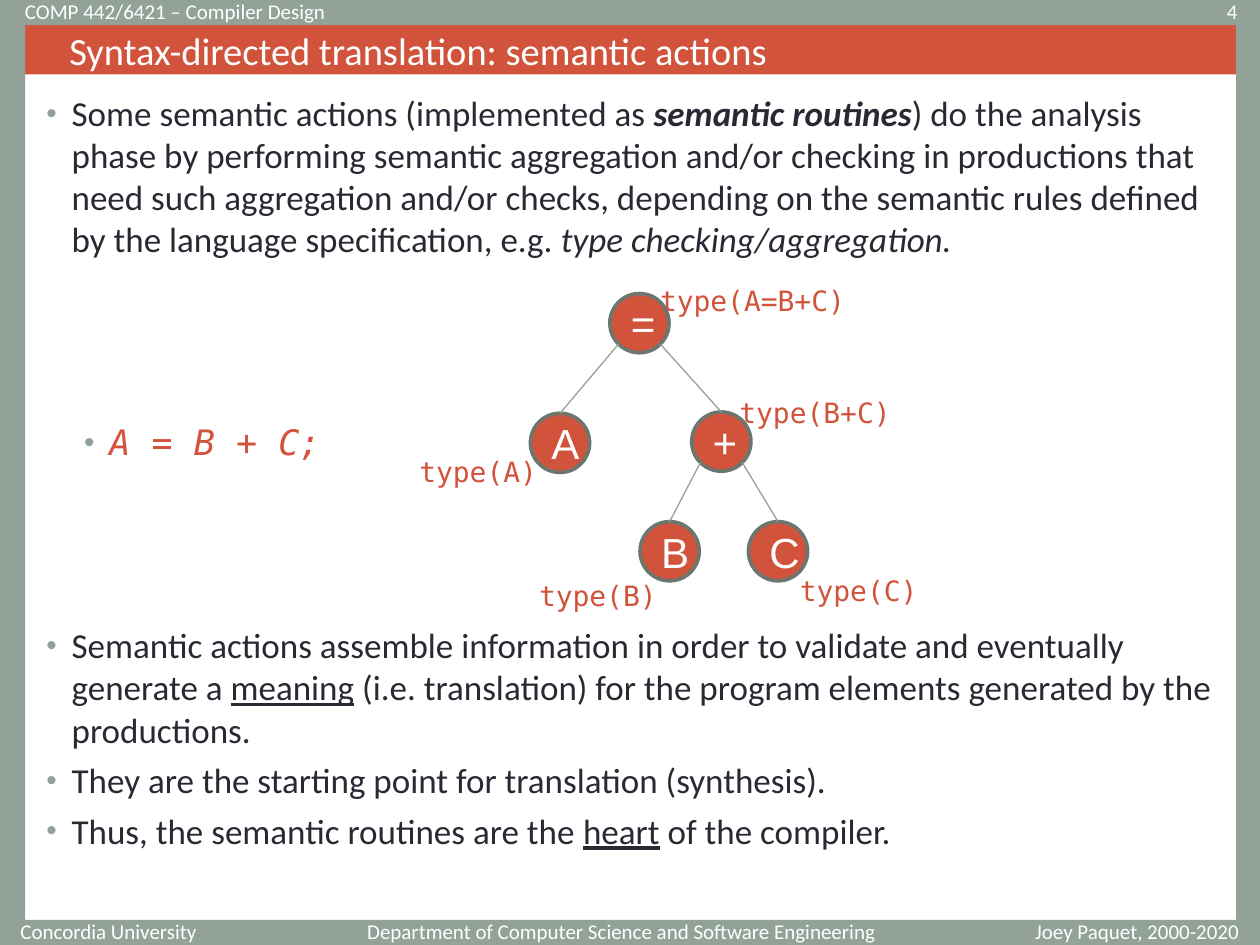
import math

from lxml import etree
from pptx import Presentation
from pptx import util as u
from pptx.dml.color import RGBColor
from pptx.enum import shapes, text
from pptx.oxml import ns

SAGE, BRICK, INK, WHITE, RIM = "93A299", "D2533C", "292934", "FFFFFF", "6B766F"
MONO = "DejaVu Sans Mono"
LEFT, CENTER, RIGHT = text.PP_ALIGN.LEFT, text.PP_ALIGN.CENTER, text.PP_ALIGN.RIGHT
NODE_SIZE = 0.47


def color(hex_string):
    return RGBColor.from_string(hex_string)


def inches(box):
    return [u.Inches(length) for length in box]


def add_xml(parent, tag, **attributes):
    return etree.SubElement(parent, ns.qn(tag), attributes)


def style_run(run, size, font, hex_string, marks=""):
    run.font.size = u.Pt(size)
    run.font.name = font
    run.font.color.rgb = color(hex_string)
    run.font.bold = "b" in marks
    run.font.italic = "i" in marks
    run.font.underline = "u" in marks


def write_line(shape, words, size, font, hex_string, align):
    shape.text_frame.text = words
    paragraph = shape.text_frame.paragraphs[0]
    paragraph.alignment = align
    style_run(paragraph.runs[0], size, font, hex_string)
    return paragraph


def add_filled(slide, kind, box, fill):
    shape = slide.shapes.add_shape(kind, *inches(box))
    shape.shadow.inherit = False
    shape.fill.solid()
    shape.fill.fore_color.rgb = color(fill)
    shape.line.fill.background()
    return shape


def add_frame(slide, width, height, border):
    bars = [
        (0, 0, width, border),
        (0, height - border, width, border),
        (0, 0, border, height),
        (width - 0.19, 0, 0.19, height),
    ]
    for bar in bars:
        add_filled(slide, shapes.MSO_SHAPE.RECTANGLE, bar, SAGE)


def add_margin_text(slide, box, words, align):
    textbox = slide.shapes.add_textbox(*inches(box))
    textbox.text_frame.word_wrap = True
    textbox.text_frame.vertical_anchor = text.MSO_ANCHOR.MIDDLE
    write_line(textbox, words, 12, "Calibri", WHITE, align)


def add_title(slide, box, words):
    title = slide.shapes.title
    title.left, title.top, title.width, title.height = inches(box)
    title.fill.solid()
    title.fill.fore_color.rgb = color(BRICK)
    title.text_frame.auto_size = text.MSO_AUTO_SIZE.NONE
    title.text_frame.vertical_anchor = text.MSO_ANCHOR.MIDDLE
    paragraph = write_line(title, words, 22, "Calibri", WHITE, LEFT)
    paragraph._p.get_or_add_pPr().set("marL", str(u.Inches(0.25)))


def format_bullet(paragraph, level, space_before):
    paragraph.level = level
    paragraph.space_before = u.Pt(space_before)
    properties = paragraph._p.get_or_add_pPr()
    properties.set("marL", str(u.Inches(0.2 + 0.3 * level)))
    properties.set("indent", str(u.Inches(-0.2)))
    bullet_color = add_xml(properties, "a:buClr")
    add_xml(bullet_color, "a:srgbClr", val=SAGE)
    add_xml(properties, "a:buSzPct", val="85000")
    add_xml(properties, "a:buFont", typeface="Arial")
    add_xml(properties, "a:buChar", char="•")


def add_body(slide, box, bullets):
    frame = slide.shapes.add_textbox(*inches(box)).text_frame
    frame.word_wrap = True
    for index, (level, space_before, font, hex_string, parts) in enumerate(bullets):
        paragraph = frame.add_paragraph() if index else frame.paragraphs[0]
        format_bullet(paragraph, level, space_before)
        for words, marks in parts:
            run = paragraph.add_run()
            run.text = words
            style_run(run, 20, font, hex_string, marks)


def add_node(slide, left, top, symbol):
    box = (left, top, NODE_SIZE, NODE_SIZE)
    node = add_filled(slide, shapes.MSO_SHAPE.OVAL, box, BRICK)
    node.line.color.rgb = color(RIM)
    node.line.width = u.Pt(2.07)
    node.text_frame.vertical_anchor = text.MSO_ANCHOR.MIDDLE
    write_line(node, symbol, 24, "Arial", WHITE, CENTER)
    return node


def add_branch(slide, parent, child):
    reach = parent.width / 2 * math.sqrt(0.5)
    side = 1 if child.left > parent.left else -1
    start_x = int(parent.left + parent.width / 2 + side * reach)
    start_y = int(parent.top + parent.height / 2 + reach)
    branch = slide.shapes.add_connector(
        shapes.MSO_CONNECTOR.STRAIGHT, start_x, start_y, child.left, child.top
    )
    branch.end_connect(child, 0)
    branch.line.color.rgb = color(SAGE)
    branch.line.width = u.Pt(0.75)
    add_xml(branch._element.spPr, "a:effectLst")


def add_type_label(slide, box, words):
    label = slide.shapes.add_textbox(*inches(box))
    label.text_frame.word_wrap = False
    label.text_frame.auto_size = text.MSO_AUTO_SIZE.SHAPE_TO_FIT_TEXT
    write_line(label, words, 16, MONO, BRICK, LEFT)


def add_tree(slide, left, top):
    positions = {
        "=": (1.61, 0.13), "A": (0.98, 1.08), "+": (2.26, 1.07),
        "B": (1.85, 1.94), "C": (2.71, 1.94),
    }
    nodes = {
        symbol: add_node(slide, left + x, top + y, symbol)
        for symbol, (x, y) in positions.items()
    }
    for parent, child in ("=A", "=+", "+B", "+C"):
        add_branch(slide, nodes[parent], nodes[child])
    labels = [
        ("A=B+C", 1.91, 0, 1.7), ("A", 0, 1.36, 1.17), ("B+C", 2.54, 0.89, 1.43),
        ("B", 0.95, 2.34, 1.17), ("C", 3.02, 2.3, 1.17),
    ]
    for expression, x, y, width in labels:
        add_type_label(slide, (left + x, top + y, width, 0.37), f"type({expression})")


def main():
    presentation = Presentation()
    presentation.slide_width = u.Inches(10)
    presentation.slide_height = u.Inches(7.5)
    slide = presentation.slides.add_slide(presentation.slide_layouts[5])

    add_frame(slide, 10, 7.5, 0.2)
    add_title(slide, (0.2, 0.2, 9.62, 0.39), "Syntax-directed translation: semantic actions")
    margin_texts = [
        (0.1, 0.03, 5.6, "COMP 442/6421 – Compiler Design", LEFT),
        (8.75, 0.03, 1.17, "4", RIGHT),
        (0.03, 7.33, 1.63, "Concordia University", RIGHT),
        (2.8, 7.33, 4.25, "Department of Computer Science and Software Engineering", RIGHT),
        (7.99, 7.33, 2.07, "Joey Paquet, 2000-2020", CENTER),
    ]
    for left, top, width, words, align in margin_texts:
        add_margin_text(slide, (left, top, width, 0.12), words, align)

    add_body(slide, (0.27, 0.68, 9.45, 6.54), [
        (0, 5, "Calibri", INK, [
            ("Some semantic actions (implemented as ", ""),
            ("semantic routines", "bi"),
            (") do the analysis phase by performing semantic aggregation and/or checking "
             "in productions that need such aggregation and/or checks, depending on the "
             "semantic rules defined by the language specification, e.g. ", ""),
            ("type checking/aggregation.", "i"),
        ]),
        (1, 92, MONO, BRICK, [("A = B + C;", "i")]),
        (0, 92, "Calibri", INK, [
            ("Semantic actions assemble information in order to validate and eventually "
             "generate a ", ""),
            ("meaning", "u"),
            (" (i.e. translation) for the program elements generated by the productions.", ""),
        ]),
        (0, 5, "Calibri", INK, [
            ("They are the starting point for translation (synthesis).", ""),
        ]),
        (0, 5, "Calibri", INK, [
            ("Thus, the semantic routines are the ", ""),
            ("heart", "u"),
            (" of the compiler.", ""),
        ]),
    ])
    add_tree(slide, 3.23, 2.2)
    presentation.save("out.pptx")


if __name__ == "__main__":
    main()
